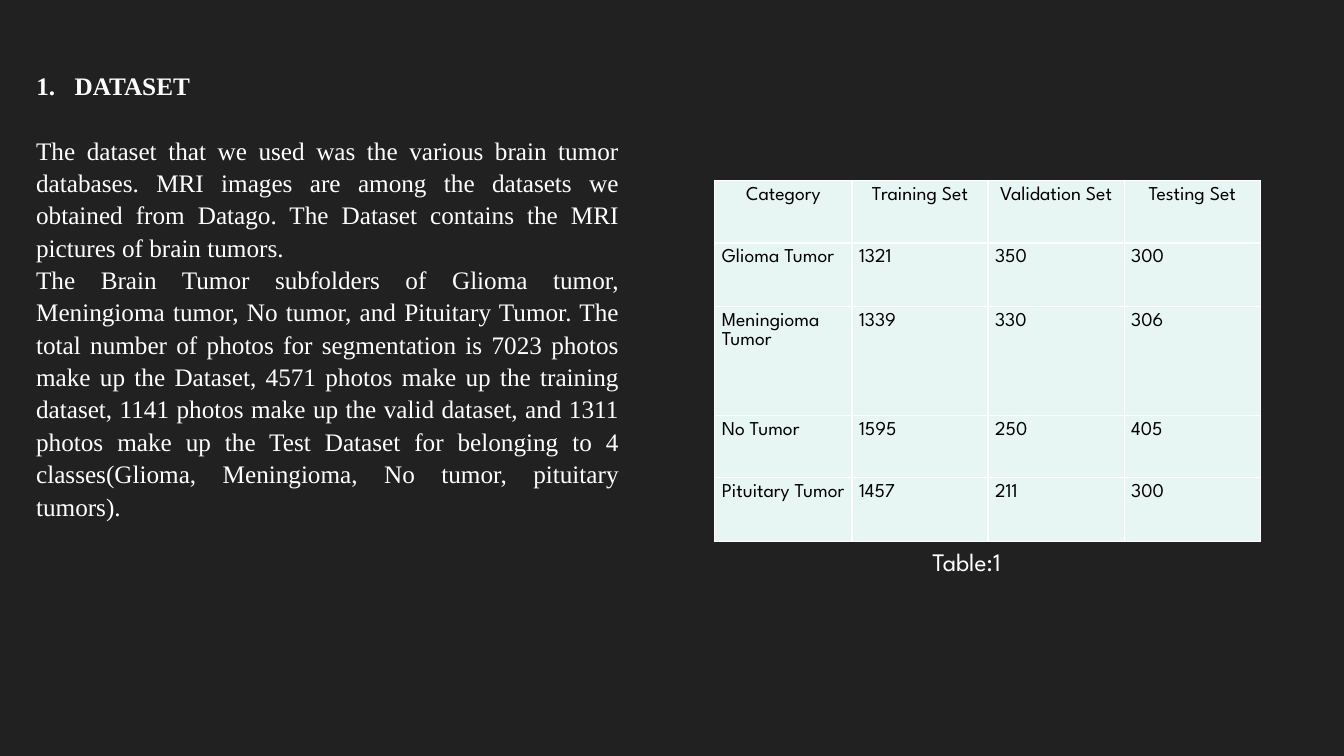
from lxml import etree
from pptx import Presentation
from pptx.dml.color import RGBColor
from pptx.enum.text import MSO_ANCHOR, PP_ALIGN
from pptx.oxml.ns import qn
from pptx.util import Inches, Pt

TOP = MSO_ANCHOR.TOP
CENTER, JUSTIFY = PP_ALIGN.CENTER, PP_ALIGN.JUSTIFY
DARK = RGBColor(0x21, 0x21, 0x21)
WHITE = RGBColor(0xFF, 0xFF, 0xFF)
BLACK = RGBColor(0x00, 0x00, 0x00)
MINT = RGBColor(0xE7, 0xF5, 0xF3)
SERIF = {"name": "Times New Roman", "size": Pt(18), "bold": False}
SANS = {"name": "League Spartan", "size": Pt(14), "bold": False}


def style(para, form, color, align=JUSTIFY, space=1.07):
    para.alignment = align
    para.line_spacing = space
    for key, value in form.items():
        setattr(para.font, key, value)
    para.font.color.rgb = color


def edge(cell):
    props = cell._tc.get_or_add_tcPr()
    for side in ("lnL", "lnR", "lnT", "lnB"):
        line = etree.SubElement(props, qn(f"a:{side}"), w=str(Pt(1)))
        fill = etree.SubElement(line, qn("a:solidFill"))
        etree.SubElement(fill, qn("a:srgbClr"), val=str(WHITE))


deck = Presentation()
deck.slide_width, deck.slide_height = Inches(13.33), Inches(7.5)
slide = deck.slides.add_slide(deck.slide_layouts[5])
slide.background.fill.solid()
slide.background.fill.fore_color.rgb = DARK

# Numbered heading
title = slide.shapes.title
title.left, title.top = Inches(0.26), Inches(0.63)
title.width, title.height = Inches(5.98), Inches(0.5)
title.text_frame.text = "DATASET"
title.text_frame.vertical_anchor = TOP
head = title.text_frame.paragraphs[0]
style(head, SERIF | {"bold": True}, WHITE)
props = head._p.get_or_add_pPr()
props.set("marL", str(Inches(0.38)))
props.set("indent", str(Inches(-0.38)))
etree.SubElement(props, qn("a:buFont"), typeface="+mj-lt")
etree.SubElement(props, qn("a:buAutoNum"), type="arabicPeriod")

# Description
body = slide.shapes.add_textbox(
    Inches(0.26), Inches(1.27), Inches(5.98), Inches(4.3)).text_frame
body.word_wrap = True
body.text = (
    "The dataset that we used was the various brain tumor databases. "
    "MRI images are among the datasets we obtained from Datago. "
    "The Dataset contains the MRI pictures of brain tumors.\n"
    "The Brain Tumor subfolders of Glioma tumor, Meningioma tumor, No tumor, "
    "and Pituitary Tumor. The total number of photos for segmentation is 7023 "
    "photos make up the Dataset, 4571 photos make up the training dataset, "
    "1141 photos make up the valid dataset, and 1311 photos make up the Test "
    "Dataset for belonging to 4 classes(Glioma, Meningioma, No tumor, "
    "pituitary tumors).")
for para in body.paragraphs:
    style(para, SERIF, WHITE)

# Table of image counts
rows = [
    ("Category", "Training Set", "Validation Set", "Testing Set"),
    ("Glioma Tumor", "1321", "350", "300"),
    ("Meningioma Tumor", "1339", "330", "306"),
    ("No Tumor", "1595", "250", "405"),
    ("Pituitary Tumor", "1457", "211", "300"),
]
table = slide.shapes.add_table(
    len(rows), len(rows[0]), Inches(7.09), Inches(1.79),
    Inches(5.41), Inches(3.58)).table
for col, width in zip(table.columns, (1.36, 1.35, 1.35, 1.35)):
    col.width = Inches(width)
for row, height in zip(table.rows, (0.62, 0.63, 1.08, 0.62, 0.63)):
    row.height = Inches(height)
pads = {"margin_left": Inches(0.07), "margin_right": Inches(0.07),
        "margin_top": Inches(0.05), "margin_bottom": Inches(0.05)}
for r, texts in enumerate(rows):
    for c, text in enumerate(texts):
        cell = table.cell(r, c)
        cell.text = text
        for key, value in pads.items():
            setattr(cell, key, value)
        edge(cell)
        cell.fill.solid()
        cell.fill.fore_color.rgb = MINT
        style(cell.text_frame.paragraphs[0], SANS, BLACK,
              JUSTIFY if r else CENTER)

# Table caption
note = slide.shapes.add_textbox(
    Inches(9.15), Inches(5.37), Inches(1.08), Inches(0.4)).text_frame
note.word_wrap = False
note.text = "Table:1"
style(note.paragraphs[0], SANS | {"size": Pt(18)}, WHITE, None, 1.0)

deck.save("out.pptx")
